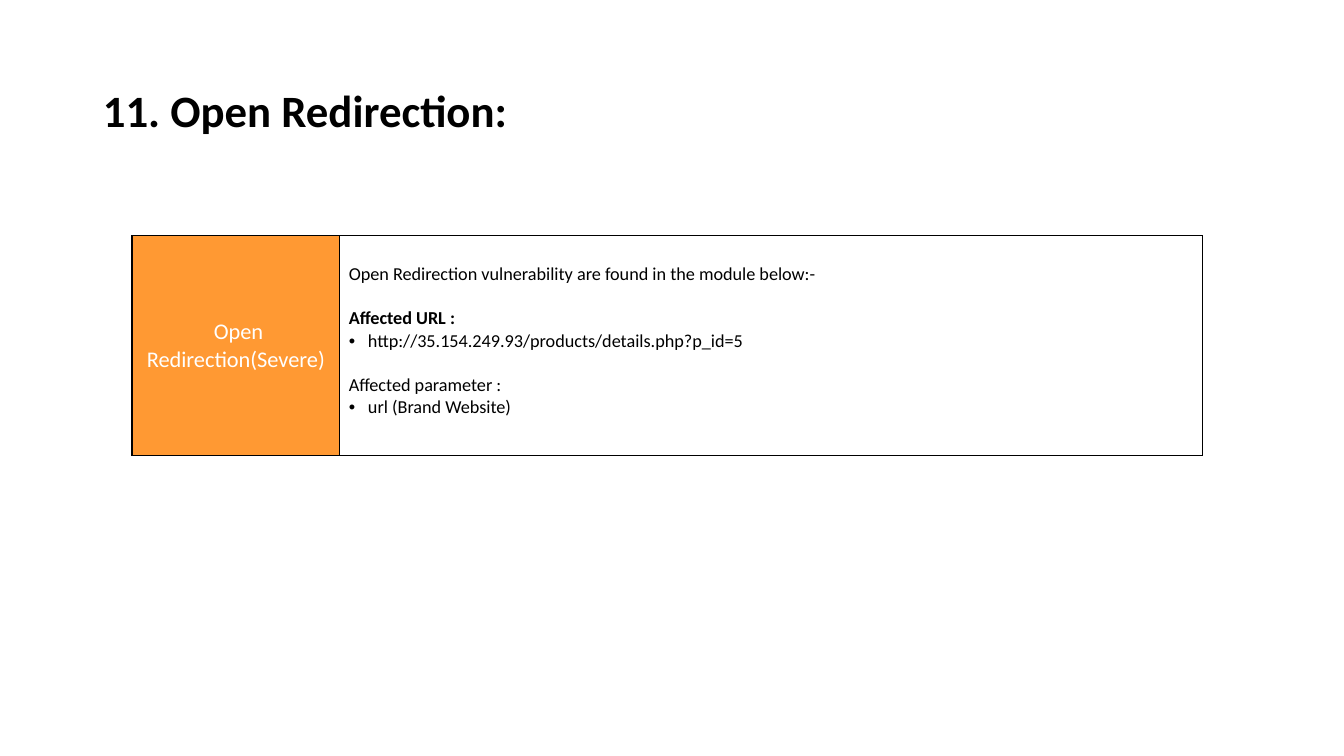
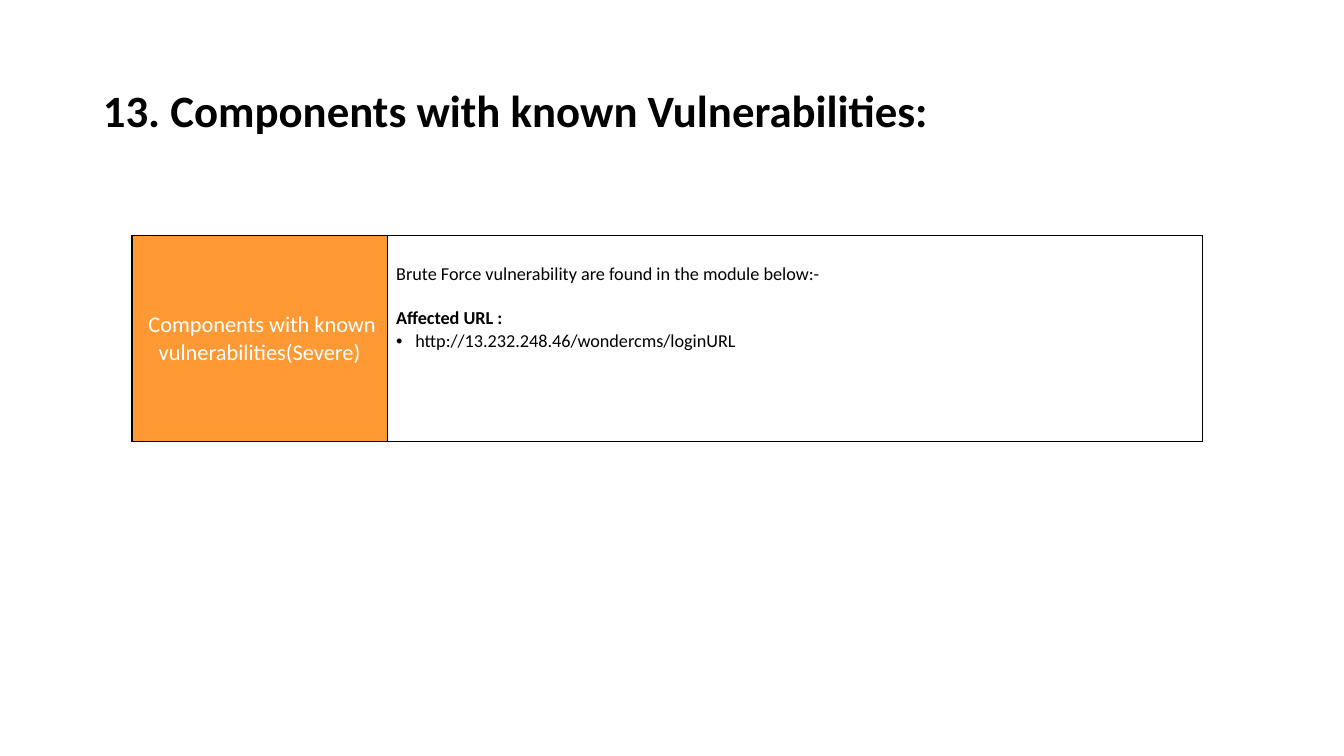
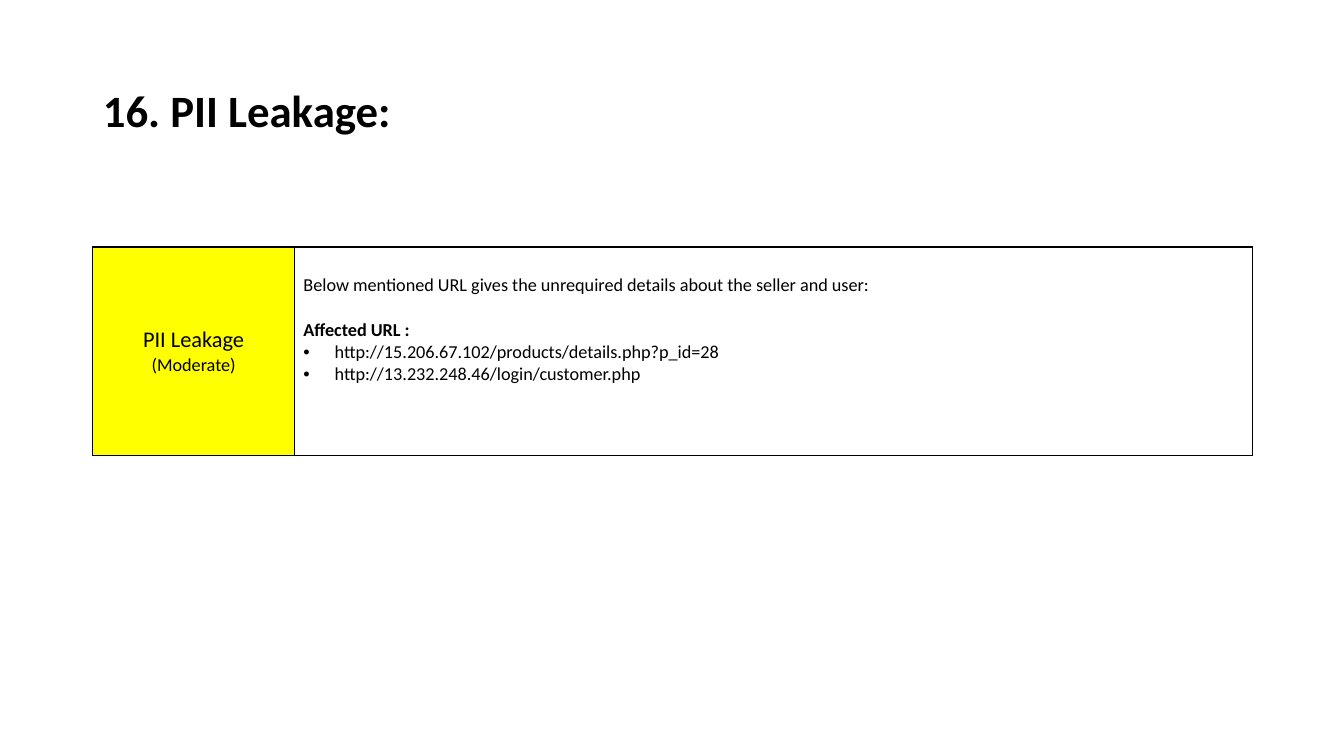
from lxml import etree
from pptx import Presentation
from pptx import util as u
from pptx.dml.color import RGBColor
from pptx.enum import text
from pptx.oxml import ns

BLACK = RGBColor(0, 0, 0)
WHITE = RGBColor(255, 255, 255)
ORANGE = RGBColor(0xFF, 0x99, 0x33)
YELLOW = RGBColor(255, 255, 0)
FONT = "Calibri"
PLAIN_TABLE = "{2D5ABB26-0587-4C30-8999-92F81FD0307C}"


def add_text(p, content, size=13, bold=False, color=BLACK):
    r = p.add_run()
    r.text = content
    r.font.name = FONT
    r.font.size = u.Pt(size)
    r.font.bold = bold
    r.font.color.rgb = color
    return r


def set_bullet(p, indent):
    pPr = p._p.get_or_add_pPr()
    pPr.set("marL", str(u.Inches(indent)))
    pPr.set("indent", str(-u.Inches(indent)))
    etree.SubElement(pPr, ns.qn("a:buFont")).set("typeface", "Arial")
    etree.SubElement(pPr, ns.qn("a:buChar")).set("char", "•")


def set_border(cell, sides):
    tcPr = cell._tc.get_or_add_tcPr()
    for i, side in enumerate(sides):
        ln = etree.Element(ns.qn("a:ln" + side), w=str(u.Pt(1)))
        fill = etree.SubElement(ln, ns.qn("a:solidFill"))
        etree.SubElement(fill, ns.qn("a:srgbClr")).set("val", str(BLACK))
        tcPr.insert(i, ln)


class Deck:
    def __init__(self):
        self.prs = Presentation()
        self.prs.slide_width = u.Inches(13.33)
        self.prs.slide_height = u.Inches(7.5)
        self.s = None

    def add_slide(self, title):
        self.s = self.prs.slides.add_slide(self.prs.slide_layouts[5])
        sp = self.s.shapes.title
        sp.left, sp.top = u.Inches(0.92), u.Inches(0.4)
        sp.width, sp.height = u.Inches(11.5), u.Inches(1.45)
        tf = sp.text_frame
        tf.vertical_anchor = text.MSO_ANCHOR.MIDDLE
        p = tf.paragraphs[0]
        p.alignment = text.PP_ALIGN.LEFT
        p.line_spacing = 0.9
        add_text(p, title, size=32, bold=True)

    def add_finding(self, left, top, cols, rows, fill, label, intro, sections, indent=0.19):
        frame = self.s.shapes.add_table(
            2, 2, u.Inches(left), u.Inches(top), u.Inches(sum(cols)), u.Inches(sum(rows)))
        table = frame.table
        table.first_row = table.horz_banding = False
        table._tbl.tblPr.find(ns.qn("a:tableStyleId")).text = PLAIN_TABLE
        for column, width in zip(table.columns, cols):
            column.width = u.Inches(width)
        for row, height in zip(table.rows, rows):
            row.height = u.Inches(height)
        for cell in table.rows[0].cells:
            cell.margin_top = cell.margin_bottom = 0
            cell.fill.background()
            set_border(cell, "B")
        self.fill_label(table.cell(1, 0), fill, label)
        self.fill_details(table.cell(1, 1), intro, sections, indent)

    def style_cell(self, cell, fill):
        cell.margin_left = cell.margin_right = u.Inches(0.09)
        cell.margin_top = cell.margin_bottom = u.Inches(0.05)
        cell.fill.solid()
        cell.fill.fore_color.rgb = fill
        set_border(cell, "LRTB")

    def fill_label(self, cell, fill, label):
        self.style_cell(cell, fill)
        cell.vertical_anchor = text.MSO_ANCHOR.MIDDLE
        p = cell.text_frame.paragraphs[0]
        p.alignment = text.PP_ALIGN.CENTER
        color = BLACK if fill == YELLOW else WHITE
        for content, size in label:
            add_text(p, content, size=size, color=color)

    def fill_details(self, cell, intro, sections, indent):
        self.style_cell(cell, WHITE)
        cell.margin_top = u.Inches(0.27)
        cell.vertical_anchor = text.MSO_ANCHOR.TOP
        tf = cell.text_frame
        add_text(tf.paragraphs[0], intro)
        for heading, bold, items in sections:
            p = tf.add_paragraph()
            p.space_before = u.Pt(16)
            add_text(p, heading, bold=bold)
            for item in items:
                p = tf.add_paragraph()
                set_bullet(p, indent)
                add_text(p, item)


def main():
    deck = Deck()
    deck.add_slide("11. Open Redirection:")
    deck.add_finding(
        1.31, 2.03, (2.06, 8.56), (0.31, 2.18), ORANGE,
        [(" Open Redirection(Severe)", 16)],
        "Open Redirection vulnerability are found in the module below:-",
        [("Affected URL :", True, ["http://35.154.249.93/products/details.php?p_id=5"]),
         ("Affected parameter :", False, ["url (Brand Website)"])])

    deck.add_slide("13. Components with known Vulnerabilities:")
    deck.add_finding(
        1.31, 2.03, (2.53, 8.09), (0.31, 2.04), ORANGE,
        [(" Components with known vulnerabilities(Severe)", 16)],
        "Brute Force vulnerability are found in the module below:-",
        [("Affected URL :", True, ["http://13.232.248.46/wondercms/loginURL"])])

    deck.add_slide("16. PII Leakage:")
    deck.add_finding(
        0.92, 2, (2, 9.5), (0.45, 2.07), YELLOW,
        [("PII Leakage ", 16), ("(Moderate)", 13)],
        "Below mentioned URL gives the unrequired details about the seller and user:",
        [("Affected URL :", True, ["http://15.206.67.102/products/details.php?p_id=28",
                                   "http://13.232.248.46/login/customer.php"])],
        indent=0.31)
    deck.prs.save("out.pptx")


if __name__ == "__main__":
    main()
